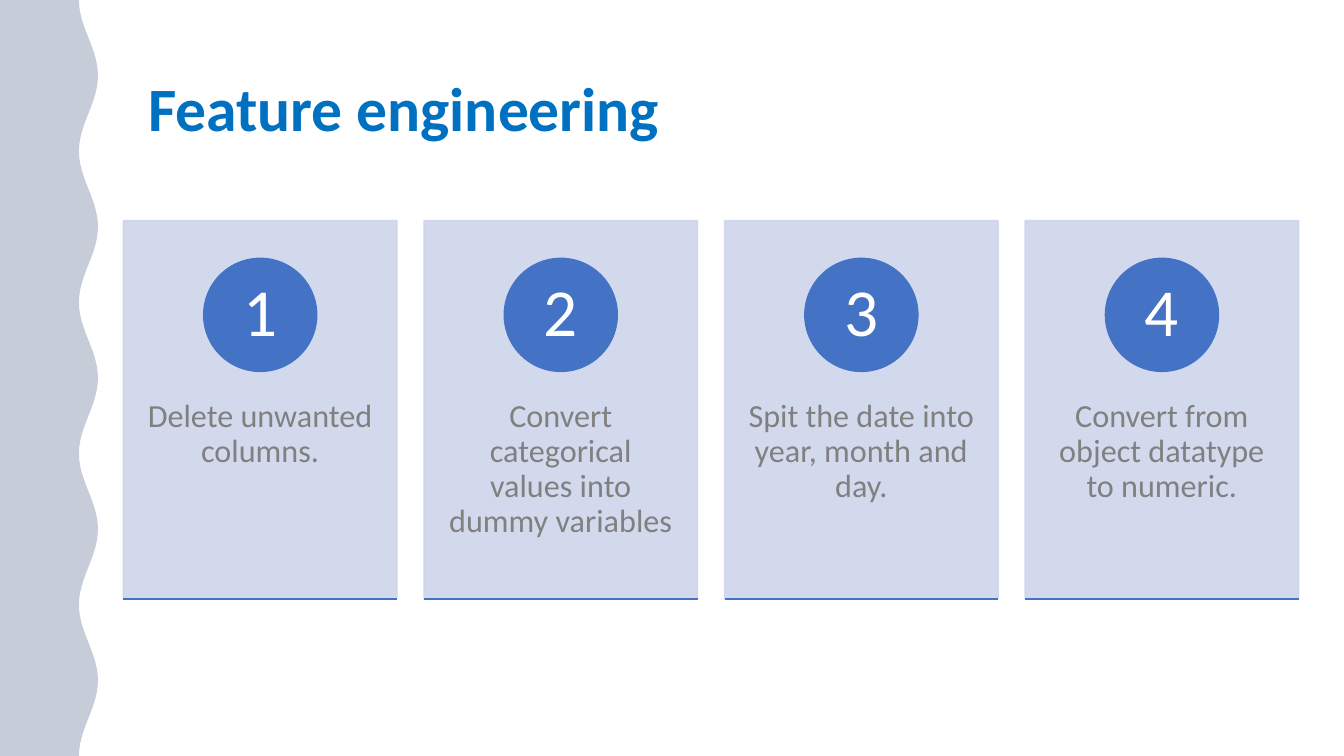
import math
from pptx import Presentation
from pptx import util as u
from pptx.dml.color import RGBColor
from pptx.enum import shapes, text
from pptx.oxml import parse_xml
from pptx.oxml.ns import nsdecls, qn

FONT = "Calibri"
BLUE = "4472C4"
PALE = "CFD5EA"
STEPS = [
    "Delete unwanted columns.",
    "Convert categorical values into dummy variables",
    "Spit the date into year, month and day.",
    "Convert from object datatype to numeric.",
]


def color(value):
    return RGBColor.from_string(value)


def paint(fill, value, opacity=100):
    fill.solid()
    fill.fore_color.rgb = color(value)
    if opacity < 100:
        alpha = parse_xml(f'<a:alpha {nsdecls("a")} val="{opacity * 1000}"/>')
        fill._xPr.find(qn("a:solidFill"))[0].append(alpha)


def write(shape, words, size, value, bold=False, align=text.PP_ALIGN.CENTER,
          anchor=text.MSO_ANCHOR.TOP, insets=(0, 0)):
    frame = shape.text_frame
    frame.text = words
    frame.word_wrap = True
    frame.auto_size = text.MSO_AUTO_SIZE.NONE
    frame.vertical_anchor = anchor
    frame.margin_left = frame.margin_right = u.Cm(insets[0])
    frame.margin_top = frame.margin_bottom = u.Cm(insets[1])
    para = frame.paragraphs[0]
    para.alignment = align
    para.line_spacing = 0.9
    font = para.runs[0].font
    font.name, font.size, font.bold = FONT, u.Pt(size), bold
    font.color.rgb = color(value)


def add_title(page, left, top, width, height):
    title = page.shapes.title
    title.left, title.top = u.Cm(left), u.Cm(top)
    title.width, title.height = u.Cm(width), u.Cm(height)
    write(title, "Feature engineering", 44, "0070C0", bold=True,
          align=text.PP_ALIGN.LEFT, insets=(0.25, 0.13))


def add_wave_band(page, left, top, width, height):
    waves, steps_per_wave, swing = 5, 24, 0.24
    count = waves * steps_per_wave
    edge = [
        (u.Cm(left + width - swing - swing * math.cos(2 * math.pi * i / steps_per_wave)),
         u.Cm(top + height * i / count))
        for i in range(count + 1)
    ]
    builder = page.shapes.build_freeform(u.Cm(left), u.Cm(top))
    builder.add_line_segments(edge + [(u.Cm(left), u.Cm(top + height))], close=True)
    band = builder.convert_to_shape()
    band.shadow.inherit = False
    band.line.fill.background()
    paint(band.fill, "203864", 25)


def add_shape(page, kind, box, value, opacity=100):
    shape = page.shapes.add_shape(kind, *map(u.Cm, box))
    shape.shadow.inherit = False
    paint(shape.fill, value, opacity)
    shape.line.width = u.Pt(1)
    paint(shape.line.fill, value, opacity)
    return shape


def add_step_card(page, number, words, left, top, width, height):
    add_shape(page, shapes.MSO_SHAPE.RECTANGLE, (left, top, width, height), PALE, 90)
    body = page.shapes.add_textbox(u.Cm(left), u.Cm(top + 3.61), u.Cm(width), u.Cm(5.72))
    write(body, words, 23, "808080", insets=(0.53, 0.91))
    diameter = 2.85
    circle = add_shape(page, shapes.MSO_SHAPE.OVAL,
                       (left + (width - diameter) / 2, top + 0.95, diameter, diameter), BLUE)
    write(circle, str(number), 48, "FFFFFF", anchor=text.MSO_ANCHOR.MIDDLE)
    bottom = u.Cm(top + height)
    rule = page.shapes.add_connector(shapes.MSO_CONNECTOR.STRAIGHT,
                                     u.Cm(left), bottom, u.Cm(left + width), bottom)
    rule.line.width = u.Pt(1)
    rule.line.color.rgb = color(BLUE)
    rule._element.spPr.append(parse_xml(f'<a:effectLst {nsdecls("a")}/>'))


def add_step_row(page, left, top, width, height):
    gap = 0.68
    card_width = (width - gap * (len(STEPS) - 1)) / len(STEPS)
    for i, words in enumerate(STEPS):
        add_step_card(page, i + 1, words, left + i * (card_width + gap), top,
                      card_width, height)


deck = Presentation()
deck.slide_width, deck.slide_height = u.Cm(33.87), u.Cm(19.05)
page = deck.slides.add_slide(deck.slide_layouts[5])
add_title(page, 3.48, 1.83, 16.66, 4.14)
add_wave_band(page, 0, 0, 2.47, 19.05)
add_step_row(page, 3.11, 5.56, 29.62, 9.53)
deck.save("out.pptx")
